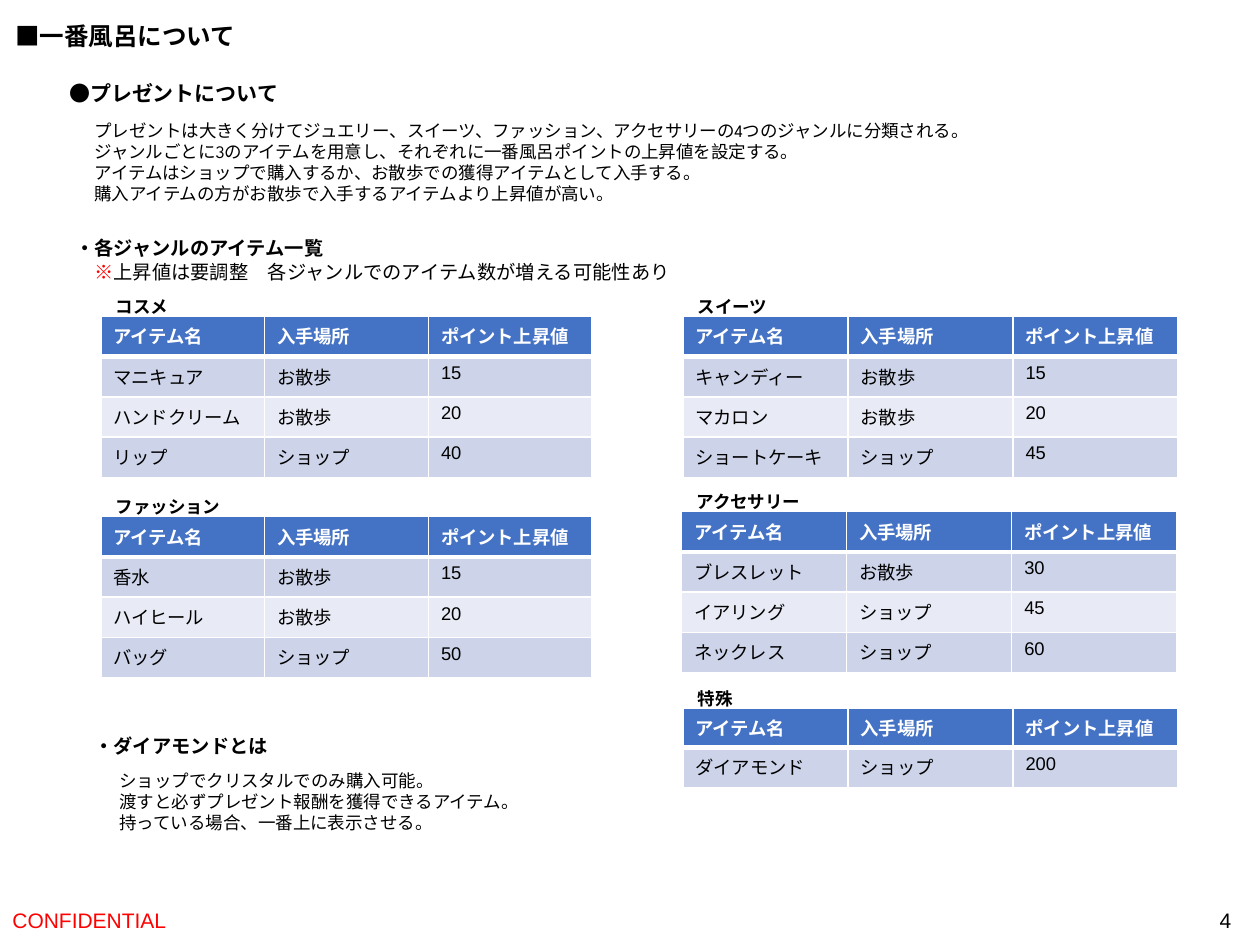
from dataclasses import dataclass

from lxml import etree
from pptx import Presentation
from pptx import util as u
from pptx.dml.color import RGBColor
from pptx.enum import text
from pptx.oxml.ns import qn

COLS, ROWS = 100, 75
WIDE, HIGH = u.Inches(10), u.Inches(7.5)


@dataclass(frozen=True)
class Theme:
    head: str = "League Spartan"
    cell: str = "Arial"
    ink: str = "000000"
    red: str = "FF0000"
    white: str = "FFFFFF"
    blue: str = "4472C4"
    dark: str = "CDD4EA"
    light: str = "E8EBF5"
    title: float = 14
    sub: float = 12
    item: float = 11
    grid: float = 10.5
    body: float = 10


T = Theme()
FIELDS = ("アイテム名", "入手場所", "ポイント上昇値")
WALK, SHOP = "お散歩", "ショップ"
GENRES = (
    ("コスメ", 8, 25.1, 13, 3.2,
     (("マニキュア", WALK, "15"), ("ハンドクリーム", WALK, "20"), ("リップ", SHOP, "40"))),
    ("ファッション", 8, 41, 13, 3.2,
     (("香水", WALK, "15"), ("ハイヒール", WALK, "20"), ("バッグ", SHOP, "50"))),
    ("スイーツ", 54.2, 25.1, 13.1, 3.2,
     (("キャンディー", WALK, "15"), ("マカロン", WALK, "20"), ("ショートケーキ", SHOP, "45"))),
    ("アクセサリー", 54.1, 40.6, 13.1, 3.2,
     (("ブレスレット", WALK, "30"), ("イアリング", SHOP, "45"), ("ネックレス", SHOP, "60"))),
    ("特殊", 54.2, 56.2, 13.1, 2.7, (("ダイアモンド", SHOP, "200"),)),
)
GIFT = (
    "プレゼントは大きく分けてジュエリー、スイーツ、ファッション、アクセサリーの4つのジャンルに分類される。",
    "ジャンルごとに3のアイテムを用意し、それぞれに一番風呂ポイントの上昇値を設定する。",
    "アイテムはショップで購入するか、お散歩での獲得アイテムとして入手する。",
    "購入アイテムの方がお散歩で入手するアイテムより上昇値が高い。",
)
GEM = (
    "ショップでクリスタルでのみ購入可能。",
    "渡すと必ずプレゼント報酬を獲得できるアイテム。",
    "持っている場合、一番上に表示させる。",
)


def px(cols):
    return u.Emu(round(WIDE * cols / COLS))


def py(rows):
    return u.Emu(round(HIGH * rows / ROWS))


def place(shape, area):
    left, top, wide, high = area
    shape.left, shape.top = px(left), py(top)
    shape.width, shape.height = px(wide), py(high)


def add_run(para, words, size, face=T.head, tint=T.ink, bold=False):
    run = para.add_run()
    run.text = words
    font = run.font
    font.size, font.name, font.bold = u.Pt(size), face, bold
    font.color.rgb = RGBColor.from_string(tint)


def indent(para, cols):
    props = para._p.get_or_add_pPr()
    props.set("marL", str(px(cols)))
    props.set("indent", "0")
    return props


def write(shape, area, lines, size, align=text.PP_ALIGN.LEFT,
          anchor=text.MSO_ANCHOR.TOP, **look):
    place(shape, area)
    frame = shape.text_frame
    frame.word_wrap = True
    frame.auto_size = text.MSO_AUTO_SIZE.NONE
    frame.vertical_anchor = anchor
    for n, line in enumerate(lines):
        para = frame.add_paragraph() if n else frame.paragraphs[0]
        para.alignment = align
        add_run(para, line, size, **look)
    return frame


def add_text(slide, area, lines, size, **look):
    box = slide.shapes.add_textbox(0, 0, 0, 0)
    return write(box, area, lines, size, **look)


def add_body(shape, area, lines):
    frame = write(shape, area, lines, T.body)
    for para in frame.paragraphs:
        etree.SubElement(indent(para, 0), qn("a:buNone"))
        para.space_before = u.Pt(0)


def add_edge(cell, side, width):
    props = cell._tc.get_or_add_tcPr()
    line = etree.SubElement(props, qn(f"a:ln{side}"), w=str(u.Pt(width)))
    fill = etree.SubElement(line, qn("a:solidFill"))
    etree.SubElement(fill, qn("a:srgbClr"), val=T.white)


def add_cell(cell, words, row):
    first = row == 0
    for side in "LRTB":
        add_edge(cell, side, 3 if first and side == "B" else 1)
    cell.fill.solid()
    shade = T.blue if first else T.dark if row % 2 else T.light
    cell.fill.fore_color.rgb = RGBColor.from_string(shade)
    add_run(cell.text_frame.paragraphs[0], words, T.grid, face=T.cell,
            tint=T.white if first else T.ink, bold=first)


def add_genre(slide, name, left, top, col, head, items):
    rows = (FIELDS, *items)
    heights = [head] + [3.2] * len(items)
    table = slide.shapes.add_table(
        len(rows), len(FIELDS), px(left), py(top),
        px(col * len(FIELDS)), py(sum(heights))).table
    for column in table.columns:
        column.width = px(col)
    for r, (row, high) in enumerate(zip(rows, heights)):
        table.rows[r].height = py(high)
        for c, words in enumerate(row):
            add_cell(table.cell(r, c), words, r)
    add_text(slide, (left + 0.2, top - 2.1, 12.7, 2.7), [name], T.body, bold=True)


def add_note(slide):
    frame = add_text(slide, (5, 18.3, 57.3, 4.7), ["・各ジャンルのアイテム一覧"],
                     T.item, bold=True)
    para = frame.add_paragraph()
    indent(para, 1.5)
    add_run(para, "※", T.item, tint=T.red)
    add_run(para, "上昇値は要調整　各ジャンルでのアイテム数が増える可能性あり", T.item)


def add_foot(slide):
    mid = text.MSO_ANCHOR.MIDDLE
    add_text(slide, (0, 71, 33.8, 4), ["CONFIDENTIAL"], T.sub,
             anchor=mid, face=T.cell, tint=T.red)
    add_text(slide, (76.2, 71, 22.5, 4), ["4"], T.sub,
             align=text.PP_ALIGN.RIGHT, anchor=mid, face=T.cell)


def main():
    deck = Presentation()
    deck.slide_width, deck.slide_height = WIDE, HIGH
    slide = deck.slides.add_slide(deck.slide_layouts[1])
    write(slide.shapes.title, (0.2, 1.2, 19.7, 3.4), ["■一番風呂について"],
          T.title, bold=True)
    add_body(slide.placeholders[1], (6.5, 9, 72.7, 7.7), GIFT)
    add_text(slide, (4.5, 5.9, 18.8, 3), ["●プレゼントについて"], T.sub, bold=True)
    add_note(slide)
    for genre in GENRES:
        add_genre(slide, *genre)
    add_text(slide, (6.5, 57.8, 39.9, 2.9), ["・ダイアモンドとは"], T.item, bold=True)
    add_text(slide, (8.5, 60.6, 37.8, 6.1), GEM, T.body)
    add_foot(slide)
    deck.save("out.pptx")


if __name__ == "__main__":
    main()
